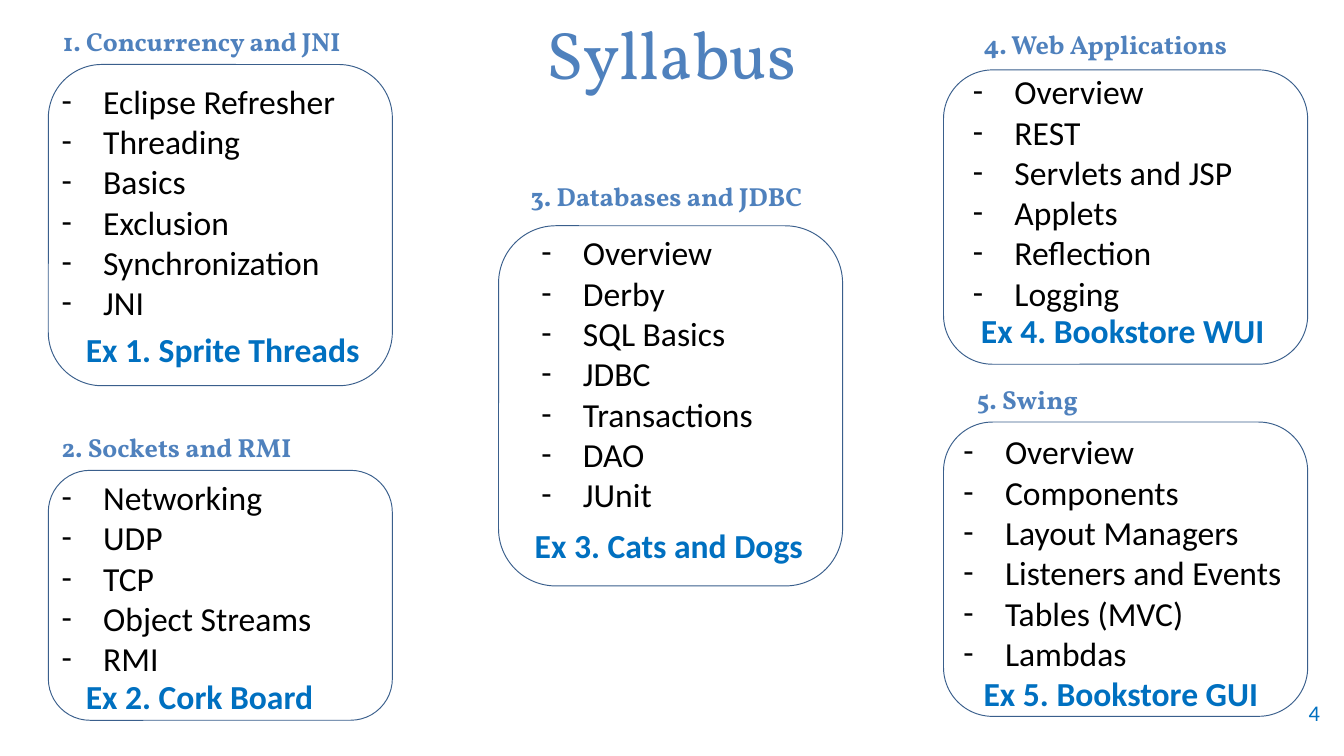
from lxml import etree
from pptx import Presentation
from pptx.dml.color import RGBColor
from pptx.enum import shapes, text
from pptx.oxml.ns import qn
from pptx.util import Inches, Pt

HEADING, EXERCISE, OUTLINE = "4F81BD", "0070C0", "3A5F8C"


def rgb(value):
    return RGBColor.from_string(value)


def add_text(lines, at, size=18, font="Calibri", color="000000", bold=False,
             align=text.PP_ALIGN.LEFT, anchor=text.MSO_ANCHOR.TOP, dashes=False):
    """Add a text box with one paragraph per line, dashed if asked."""
    tf = s.shapes.add_textbox(*map(Inches, at)).text_frame
    tf.word_wrap = True
    tf.vertical_anchor = anchor
    for i, line in enumerate(lines):
        p = tf.add_paragraph() if i else tf.paragraphs[0]
        p.alignment = align
        if dashes:
            pPr = p._p.get_or_add_pPr()
            pPr.set("marL", str(Inches(0.31)))
            pPr.set("indent", str(-Inches(0.31)))
            etree.SubElement(pPr, qn("a:buFont")).set("typeface", font)
            etree.SubElement(pPr, qn("a:buChar")).set("char", "-")
        r = p.add_run()
        r.text = line
        r.font.name, r.font.size, r.font.bold = font, Pt(size), bold
        r.font.color.rgb = rgb(color)


# heading, its position, topics, their box, frame, exercise, its box
sections = [
    ("1. Concurrency and JNI", (0.37, 0.14),
     ["Eclipse Refresher", "Threading", "Basics", "Exclusion", "Synchronization", "JNI"],
     (0.36, 0.55, 2.67, 2.22), (0.36, 0.48, 2.56, 2.39),
     "Ex 1. Sprite Threads", (0.54, 2.4, 2.5, 0.4)),
    ("2. Sockets and RMI", (0.36, 3.16),
     ["Networking", "UDP", "TCP", "Object Streams", "RMI"],
     (0.36, 3.5, 2.5, 1.92), (0.36, 3.5, 2.56, 1.86),
     "Ex 2. Cork Board", (0.54, 4.98, 2.5, 0.4)),
    ("3. Databases and JDBC", (3.85, 1.29),
     ["Overview", "Derby", "SQL Basics", "JDBC", "Transactions", "DAO", "JUnit"],
     (3.93, 1.68, 2.67, 2.52), (3.71, 1.68, 2.56, 2.68),
     "Ex 3. Cats and Dogs", (3.88, 3.86, 2.5, 0.4)),
    ("4. Web Applications", (7.22, 0.16),
     ["Overview", "REST", "Servlets and JSP", "Applets", "Reflection", "Logging"],
     (7.14, 0.48, 2.67, 2.22), (7.02, 0.52, 2.71, 2.19),
     "Ex 4. Bookstore WUI", (7.2, 2.26, 2.38, 0.4)),
    ("5. Swing", (7.17, 2.8),
     ["Overview", "Components", "Layout Managers", "Listeners and Events",
      "Tables (MVC)", "Lambdas"],
     (7.07, 3.16, 2.67, 2.22), (7.02, 3.14, 2.71, 2.19),
     "Ex 5. Bookstore GUI", (7.22, 4.96, 2.38, 0.4)),
]

prs = Presentation()
prs.slide_width = Inches(10)
prs.slide_height = prs.slide_width * 9 // 16
s = prs.slides.add_slide(prs.slide_layouts[6])

add_text(["Syllabus"], (0.08, 0.06, 9.83, 0.67), size=36, font="Vollkorn", color=HEADING,
         align=text.PP_ALIGN.CENTER, anchor=text.MSO_ANCHOR.MIDDLE)
add_text(["4"], (9.25, 5.15, 0.67, 0.3), size=12, color=EXERCISE,
         align=text.PP_ALIGN.RIGHT, anchor=text.MSO_ANCHOR.MIDDLE)

for heading, heading_at, topics, topics_at, frame_at, exercise, exercise_at in sections:
    add_text([heading], (*heading_at, 2.63, 0.42), size=14, font="Vollkorn",
             color=HEADING, bold=True)
    add_text(topics, topics_at, dashes=True)
    sp = s.shapes.add_shape(shapes.MSO_SHAPE.ROUNDED_RECTANGLE, *map(Inches, frame_at))
    sp.shadow.inherit = False
    sp.fill.background()
    sp.line.color.rgb = rgb(OUTLINE)
    sp.line.width = Pt(0.5)
    add_text([exercise], exercise_at, color=EXERCISE, bold=True)

prs.save("out.pptx")
